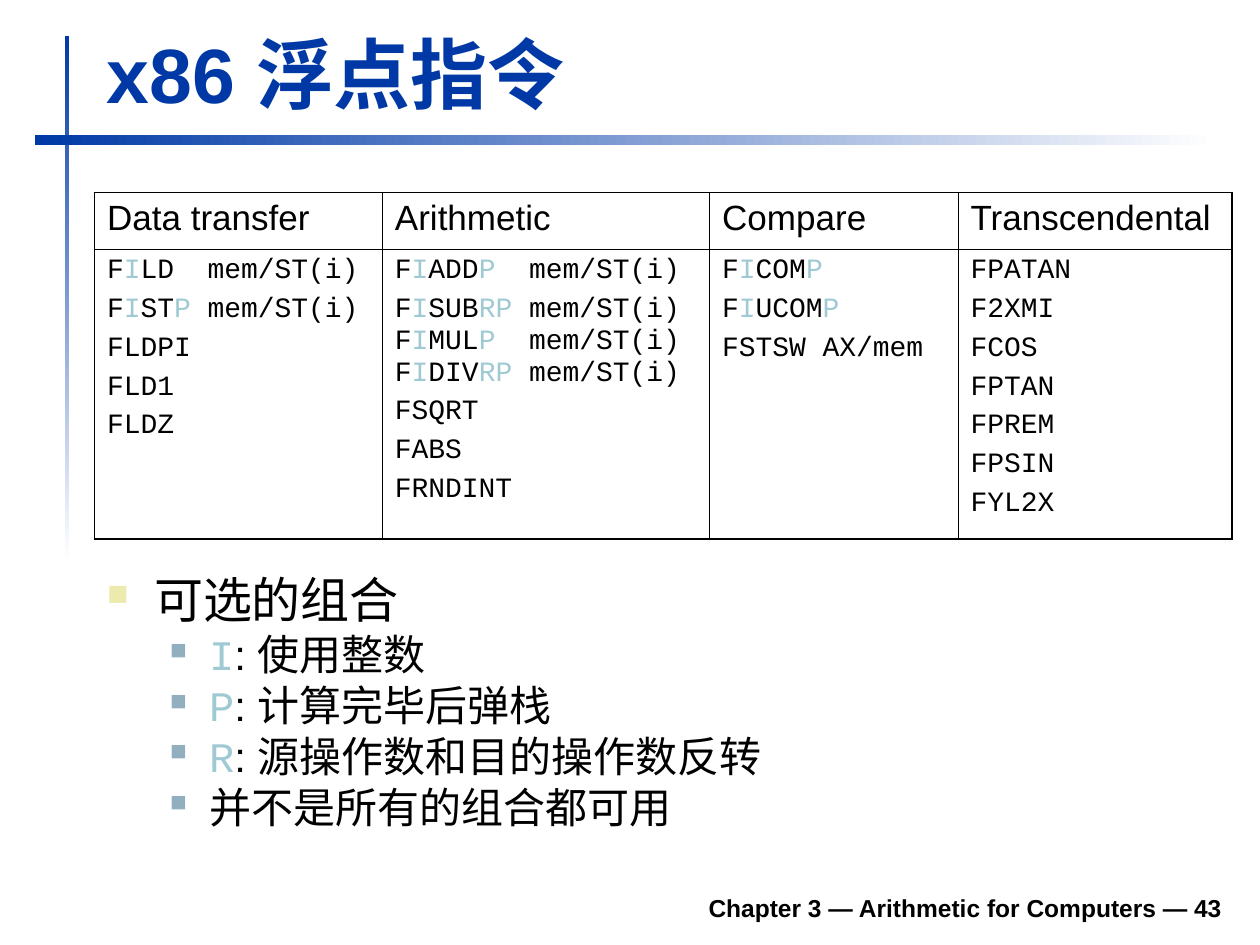
from lxml.etree import SubElement as add_element
from pptx import Presentation
from pptx.dml.color import RGBColor as Rgb
from pptx.enum.shapes import MSO_SHAPE as Preset
from pptx.enum.text import MSO_ANCHOR as Anchor, PP_ALIGN as Align
from pptx.oxml.ns import qn
from pptx.util import Pt

COLOURS = {
    "blue": "0039A6",
    "white": "FFFFFF",
    "black": "000000",
    "accent": "9FCAD3",
    "bullet": "ECEAAC",
    "sub_bullet": "91AFBF",
}
SANS, MONO = "Arial", "Courier New"
OUTER, DIVIDER, INNER = 1.08, 0.75, 0.45  # table line widths


def rgb(name):
    return Rgb.from_string(COLOURS[name])


class SlideBuilder:
    def __init__(self, deck):
        self.slide = deck.slides.add_slide(deck.slide_layouts[6])

    def gradient_bar(self, left, top, width, height, angle):
        bar = self.slide.shapes.add_shape(
            Preset.RECTANGLE, Pt(left), Pt(top), Pt(width), Pt(height))
        bar.shadow.inherit = False
        bar.line.fill.background()
        bar.fill.gradient()
        bar.fill.gradient_angle = angle
        for stop, name, position in zip(bar.fill.gradient_stops, ("blue", "white"), (0, 1)):
            stop.color.rgb = rgb(name)
            stop.position = position

    def text_box(self, left, top, width, height, anchor):
        box = self.slide.shapes.add_textbox(Pt(left), Pt(top), Pt(width), Pt(height))
        frame = box.text_frame
        frame.word_wrap = True
        frame.vertical_anchor = anchor
        return frame

    def add_text(self, para, text, size, font=SANS, colour="black", bold=False):
        """Fill a paragraph; parts between bars are accented code letters."""
        para.font.size = Pt(size)
        para.font.name = font
        para.font.bold = bold
        para.font.color.rgb = rgb(colour)
        for index, part in enumerate(text.split("|")):
            if part:
                span = para.add_run()
                span.text = part
                if index % 2:
                    span.font.name = MONO
                    span.font.color.rgb = rgb("accent")

    def paragraphs(self, frame, lines, space, size, font):
        for index, line in enumerate(lines):
            para = frame.add_paragraph() if index else frame.paragraphs[0]
            para.space_before = Pt(space if index else 0)
            self.add_text(para, line, size, font)

    def bullet(self, para, text, level):
        margin, hang, size, space, scale, colour = (
            (27, 27, 28, 0, 60, "bullet"),
            (58.5, 22.5, 24, 6, 55, "sub_bullet"),
        )[level]
        para.level = level
        para.line_spacing = 0.8
        para.space_before = Pt(space)
        props = para._p.get_or_add_pPr()
        props.set("marL", str(Pt(margin)))
        props.set("indent", str(-Pt(hang)))
        add_element(add_element(props, qn("a:buClr")), qn("a:srgbClr"), val=COLOURS[colour])
        add_element(props, qn("a:buSzPct"), val=str(scale * 1000))
        add_element(props, qn("a:buChar"), char="■")
        self.add_text(para, text, size)

    def borders(self, cell, widths):
        props = cell._tc.get_or_add_tcPr()
        for index, (side, width) in enumerate(zip("LRTB", widths)):
            line = add_element(props, qn("a:ln" + side), w=str(Pt(width)))
            fill = add_element(line, qn("a:solidFill"))
            add_element(fill, qn("a:srgbClr"), val=COLOURS["black"])
            props.insert(index, line)

    def table(self, left, top, columns, widths, heights):
        table = self.slide.shapes.add_table(
            2, len(columns), Pt(left), Pt(top), Pt(sum(widths)), Pt(sum(heights))).table
        table.first_row = table.horz_banding = False
        for row, height in zip(table.rows, heights):
            row.height = Pt(height)
        last = len(columns) - 1
        for col, (heading, codes) in enumerate(columns.items()):
            table.columns[col].width = Pt(widths[col])
            sides = (INNER if col else OUTER, INNER if col < last else OUTER)
            head, body = table.cell(0, col), table.cell(1, col)
            for cell, ends in ((head, (OUTER, DIVIDER)), (body, (DIVIDER, OUTER))):
                cell.fill.background()
                self.borders(cell, sides + ends)
            self.paragraphs(head.text_frame, [heading], 0, 20, SANS)
            self.paragraphs(body.text_frame, codes, 4, 16, MONO)


INSTRUCTIONS = {
    "Data transfer": ["F|I|LD  mem/ST(i)", "F|I|ST|P| mem/ST(i)", "FLDPI", "FLD1", "FLDZ"],
    "Arithmetic": [
        "F|I|ADD|P|  mem/ST(i)",
        "F|I|SUB|RP| mem/ST(i) F|I|MUL|P|  mem/ST(i) F|I|DIV|RP| mem/ST(i)",
        "FSQRT", "FABS", "FRNDINT",
    ],
    "Compare": ["F|I|COM|P|", "F|I|UCOM|P|", "FSTSW AX/mem"],
    "Transcendental": ["FPATAN", "F2XMI", "FCOS", "FPTAN", "FPREM", "FPSIN", "FYL2X"],
}
OPTIONS = [
    ("可选的组合", 0),
    ("|I|: 使用整数", 1),
    ("|P|: 计算完毕后弹栈", 1),
    ("|R|: 源操作数和目的操作数反转", 1),
    ("并不是所有的组合都可用", 1),
]


def main():
    deck = Presentation()
    deck.slide_width, deck.slide_height = Pt(720), Pt(540)
    page = SlideBuilder(deck)

    # Crossed gradient bars
    page.gradient_bar(37, 20.5, 2.5, 300, 270)
    page.gradient_bar(20, 77, 675, 6, 0)

    # Footer
    footer = page.text_box(133, 502.5, 572.5, 28, Anchor.BOTTOM).paragraphs[0]
    footer.alignment = Align.RIGHT
    page.add_text(footer, "Chapter 3 — Arithmetic for Computers — 43", 14, bold=True)

    # Title
    title = page.text_box(54, 11.5, 650, 60, Anchor.BOTTOM).paragraphs[0]
    page.add_text(title, "x86 浮点指令", 44, colour="blue", bold=True)

    # Bulleted options
    frame = page.text_box(54, 328.5, 651, 163, Anchor.TOP)
    for index, (text, level) in enumerate(OPTIONS):
        para = frame.add_paragraph() if index else frame.paragraphs[0]
        page.bullet(para, text, level)

    # Instruction table
    page.table(54, 110, INSTRUCTIONS, (164.5, 187, 142, 156.5), (32.5, 165.5))

    deck.save("out.pptx")


if __name__ == "__main__":
    main()
